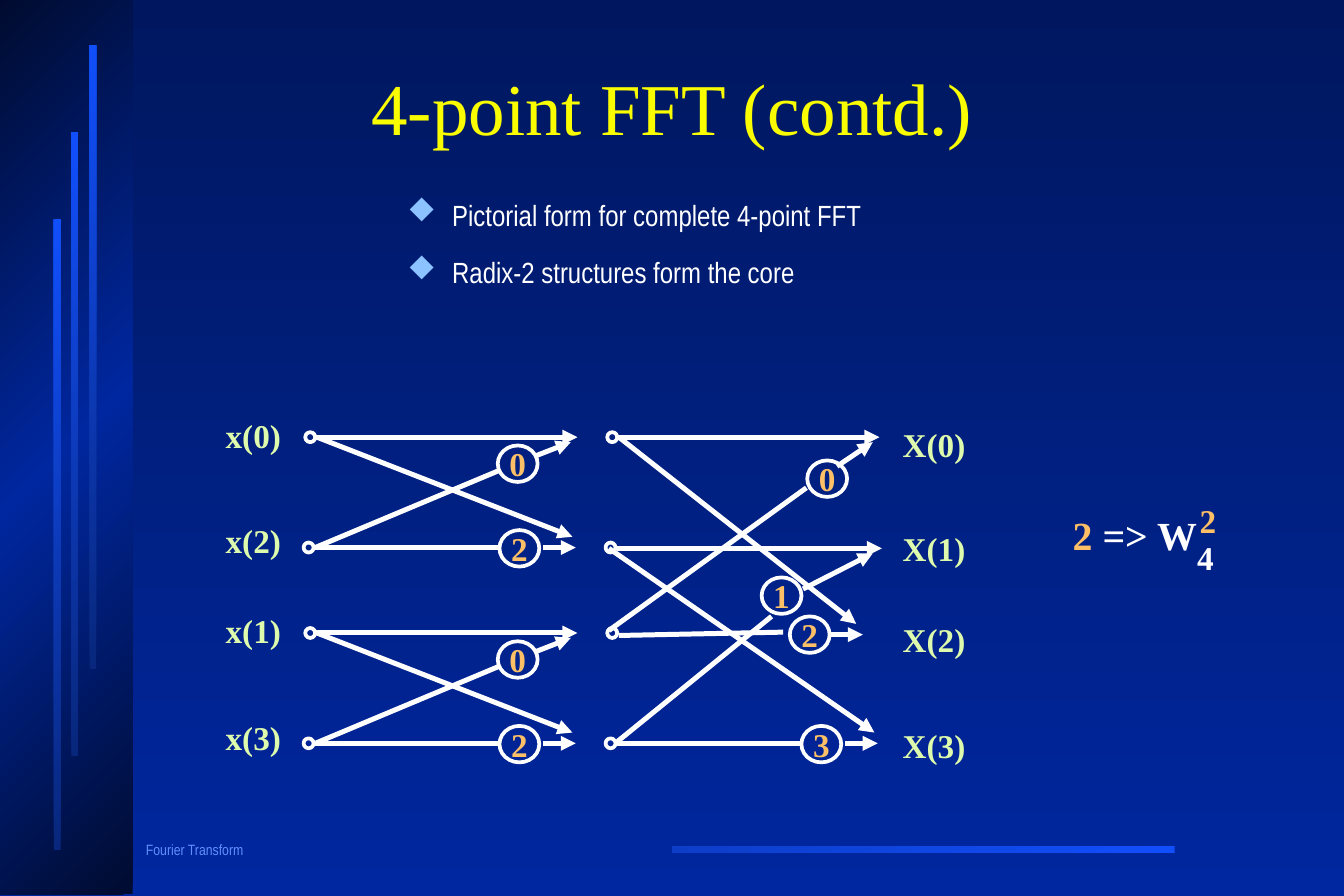
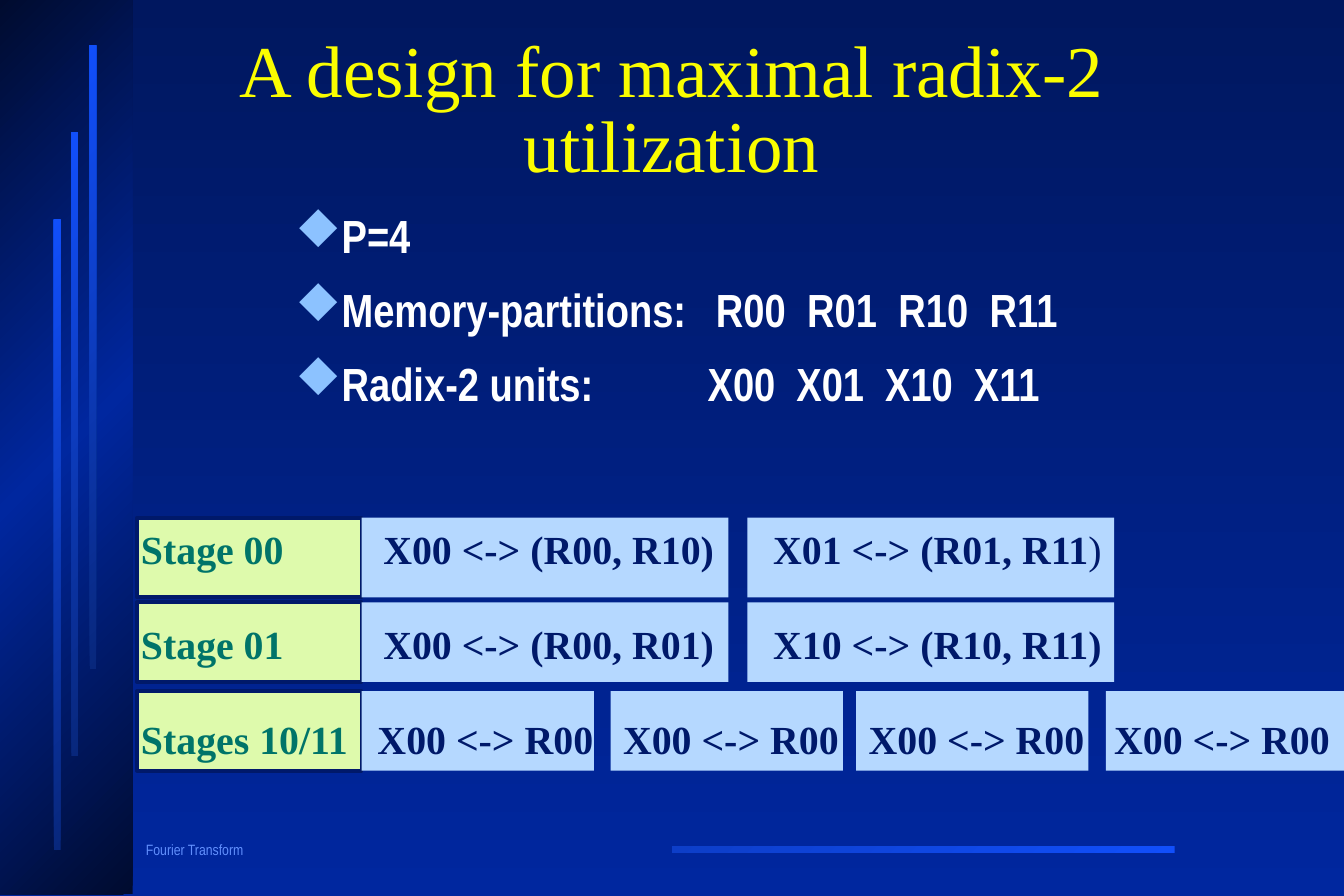
from copy import deepcopy
from lxml.etree import SubElement as Sub
from pptx import Presentation
from pptx.dml.color import RGBColor
from pptx.enum.shapes import MSO_CONNECTOR as Link, MSO_SHAPE as Kind
from pptx.enum.text import MSO_ANCHOR as Anchor, PP_ALIGN as Align
from pptx.oxml.ns import qn
from pptx.util import Pt

rgb = RGBColor.from_string
WHITE, GOLD, LIME, NAVY, TEAL = "FFFFFF", "FEC066", "DEFAAC", "00196A", "007469"
SERIF, SANS = "Times New Roman", "Arial Narrow"
HEAD = dict(name=SERIF, size=Pt(44))
FOOT = dict(name=SANS, size=Pt(9))
MARK = dict(name=SERIF, size=Pt(20), bold=True)
CELL = dict(name=SERIF, size=Pt(24), bold=True)


def shade(fill, hues, angle):
    fill.gradient()
    fill.gradient_angle = angle
    for stop, hue in zip(fill.gradient_stops, hues):
        stop.color.rgb = rgb(hue)


def note(shape, text, hue, form):
    frame = shape.text_frame
    frame.word_wrap = True
    for side in ("left", "top", "right", "bottom"):
        setattr(frame, "margin_" + side, 0)
    run = frame.paragraphs[-1].add_run()
    run.text = text
    for key, value in form.items():
        setattr(run.font, key, value)
    run.font.color.rgb = rgb(hue)


prs = Presentation()
prs.slide_width, prs.slide_height = Pt(810), Pt(540)

BLUE = ("08277C", "114FFB")
bands = [
    (405, 510, 303, 4, ("114FFB", "0D3EC8")),
    (0, 0, 80, 539, ("000B2F", "00279F", "000B2F")),
    (32.5, 132.5, 4, 380, BLUE),
    (43, 80, 4, 376, BLUE),
    (54, 27.5, 4, 376, BLUE),
]
pages = [
    ("4-point FFT (contd.)", 245.5, 124.5, 17.6, False, 0.7, 20, [
        ("Pictorial form for complete 4-point FFT", ()),
        ("Radix-2 structures form the core", ())]),
    ("A design for maximal radix-2 utilization", 178, 131.5, 28, True, 0.8, 17.5, [
        ("P=4", ()),
        ("Memory-partitions:\tR00\tR01\tR10\tR11", (253.5, 55)),
        ("Radix-2 units:\tX00\tX01\tX10\tX11", (248.5, 53.5))]),
]
slides = []
for title, left, top, size, bold, lead, gap, items in pages:
    slide = prs.slides.add_slide(prs.slide_layouts[6])
    slides.append(slide)
    shade(slide.background.fill, ("00175F", "00279F"), 270)
    for x, y, wide, high, hues in bands:
        band = slide.shapes.add_shape(Kind.RECTANGLE, Pt(x), Pt(y), Pt(wide), Pt(high))
        band.shadow.inherit = False
        band.line.fill.background()
        band.fill.gradient()
        if len(hues) == 3:
            stops = band.element.spPr.find(".//" + qn("a:gsLst"))
            stops.insert(1, deepcopy(stops[0]))
            stops[1].set("pos", "50000")
        shade(band.fill, hues, 135)
    foot = slide.shapes.add_textbox(Pt(88), Pt(508), Pt(94), Pt(10))
    note(foot, "Fourier Transform", "618FFD", FOOT)
    foot.text_frame.paragraphs[0].line_spacing = 0.9
    head = slide.shapes.add_textbox(Pt(90.5), Pt(26.5), Pt(629), Pt(83))
    note(head, title, "FAFD00", HEAD)
    head.text_frame.vertical_anchor = Anchor.MIDDLE
    head.text_frame.paragraphs[0].alignment = Align.CENTER
    head.text_frame.paragraphs[0].line_spacing = 0.85
    body = slide.shapes.add_textbox(Pt(left), Pt(top), Pt(500), Pt(len(items) * 40))
    for row, (text, tabs) in enumerate(items):
        para = body.text_frame.paragraphs[0]
        if row:
            para = body.text_frame.add_paragraph()
            para.space_before = Pt(gap)
        para.line_spacing = lead
        props = para._p.get_or_add_pPr()
        props.set("marL", str(Pt(27)))
        props.set("indent", str(-Pt(27)))
        Sub(Sub(props, qn("a:buClr")), qn("a:srgbClr"), val="8CC2FF")
        Sub(props, qn("a:buFont"), typeface="Wingdings", pitchFamily="2", charset="2")
        Sub(props, qn("a:buChar"), char="u")
        if tabs:
            first, pitch = tabs
            stops = Sub(props, qn("a:tabLst"))
            for n in range(4):
                Sub(stops, qn("a:tab"), pos=str(Pt(first + n * pitch)), algn="l")
        note(body, text, WHITE, dict(name=SANS, size=Pt(size), bold=bold))

flow, plan = slides

wing = [
    (189, 263.5, 348, 263.5, True),
    (188, 330, 301, 330, False),
    (327, 330, 347, 330, True),
    (191, 263.5, 345, 323.5, True),
    (190, 330, 301, 283.5, False),
    (323.5, 274.5, 344, 266.5, True),
]
lines = [(x, y + drop, u, v + drop, tip)
         for drop in (0, 118) for x, y, u, v, tip in wing]
lines += [
    (371, 263.5, 530, 263.5, True),
    (373, 383, 472, 381, False),
    (499.5, 382.5, 520, 382.5, True),
    (373, 263.5, 516, 376, True),
    (367, 380, 486, 294, False),
    (504.5, 281, 526, 266.5, True),
    (372, 330.5, 531.5, 330.5, True),
    (370, 448, 483, 448, False),
    (509, 448, 529, 448, True),
    (367, 330.5, 527, 441.5, True),
    (372, 447, 465, 371.5, False),
    (484, 355, 526, 333.5, True),
]
for x, y, u, v, tip in lines:
    line = flow.shapes.add_connector(Link.STRAIGHT, Pt(x), Pt(y), Pt(u), Pt(v))
    line.line.width = Pt(3)
    line.line.color.rgb = rgb(WHITE)
    props = line.element.spPr
    if tip:
        Sub(props.find(qn("a:ln")), qn("a:tailEnd"), type="triangle")
    Sub(props, qn("a:effectLst"))

rings = [(x - n % 2, y, 6, 6, "")
         for x in (184, 366) for n, y in enumerate((260.5, 327, 378.5, 445))]
rings += [(x, y + drop, 24, 22, mark) for drop in (0, 118)
          for x, y, mark in ((300, 268.5, "0"), (301, 319.5, "2"))]
rings += [(486.5, 277.5, 24, 22, "0"), (459, 348, 24, 22, "1"),
          (476, 371.5, 24, 22, "2"), (483, 437.5, 24, 22, "3")]
for x, y, wide, high, mark in rings:
    ring = flow.shapes.add_shape(Kind.OVAL, Pt(x), Pt(y), Pt(wide), Pt(high))
    ring.shadow.inherit = False
    ring.fill.background()
    ring.line.color.rgb = rgb(WHITE)
    ring.line.width = Pt(2.25)
    if mark:
        note(ring, mark, GOLD, MARK)

tags = [("2", 723, 301.5, GOLD), ("4", 721.5, 324, WHITE)]
for n, (y, src) in enumerate(zip((250.5, 313.5, 368, 432), (0, 2, 1, 3))):
    tags += [(f"x({src})", 136, y, LIME), (f"X({n})", 544, y + 5, LIME)]
for text, x, y, hue in tags:
    tag = flow.shapes.add_textbox(Pt(x), Pt(y), Pt(50), Pt(24))
    note(tag, text, hue, MARK)
key = flow.shapes.add_textbox(Pt(646.5), Pt(308), Pt(85), Pt(29))
note(key, "2", GOLD, CELL)
note(key, " => W", WHITE, CELL)

pair = ((218, 221, 13), (450.5, 221, 15.5))
quad = ((218, 140, 9.5), (368, 140, 7.5), (516, 140, 7.5), (666.5, 143.5, 5))
stages = [
    ("Stage 00", 312, 316, pair, ("X00 <-> (R00, R10)", "X01 <-> (R01, R11")),
    ("Stage 01", 363, 373.5, pair, ("X00 <-> (R00, R01)", "X10 <-> (R10, R11)")),
    ("Stages 10/11", 416.5, 431, quad, ("X00 <-> R00",) * 4),
]
for name, top, base, spots, texts in stages:
    cells = [(82.5, 135.5, 2.5, name, LIME, TEAL)]
    cells += [(*spot, text, "B5D8FF", NAVY) for spot, text in zip(spots, texts)]
    for x, wide, inset, text, back, hue in cells:
        cell = plan.shapes.add_shape(Kind.RECTANGLE, Pt(x), Pt(top), Pt(wide), Pt(48))
        cell.shadow.inherit = False
        cell.fill.solid()
        cell.fill.fore_color.rgb = rgb(back)
        if text == name:
            cell.line.color.rgb = rgb(NAVY)
            cell.line.width = Pt(2.25)
        else:
            cell.line.fill.background()
        note(cell, text, hue, CELL)
        if text.endswith("R11"):
            note(cell, ")", hue, dict(CELL, bold=False))
        frame = cell.text_frame
        frame.vertical_anchor = Anchor.TOP
        frame.margin_left, frame.margin_top = Pt(inset), Pt(base - top)
        frame.paragraphs[0].alignment = Align.LEFT

prs.save("out.pptx")
